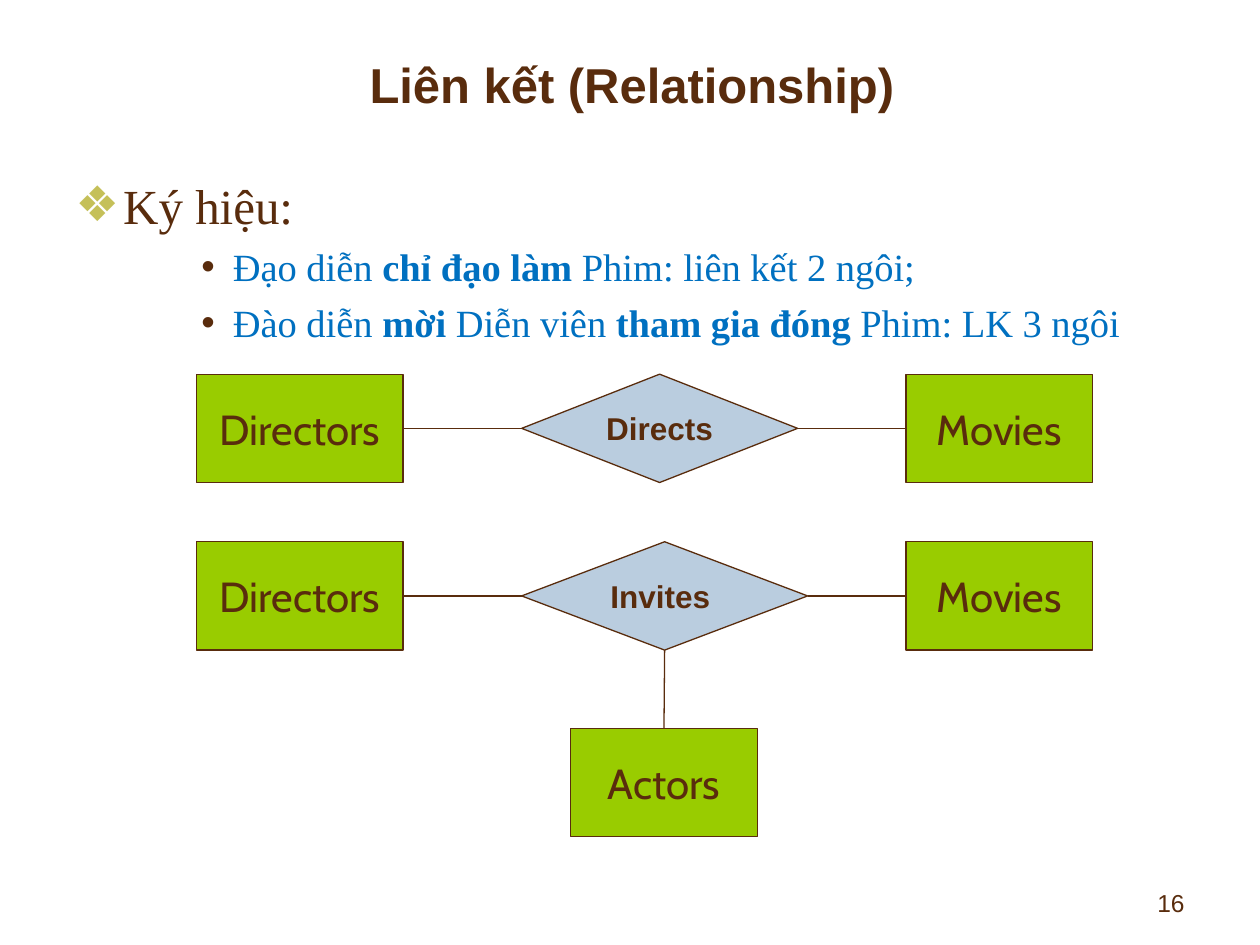
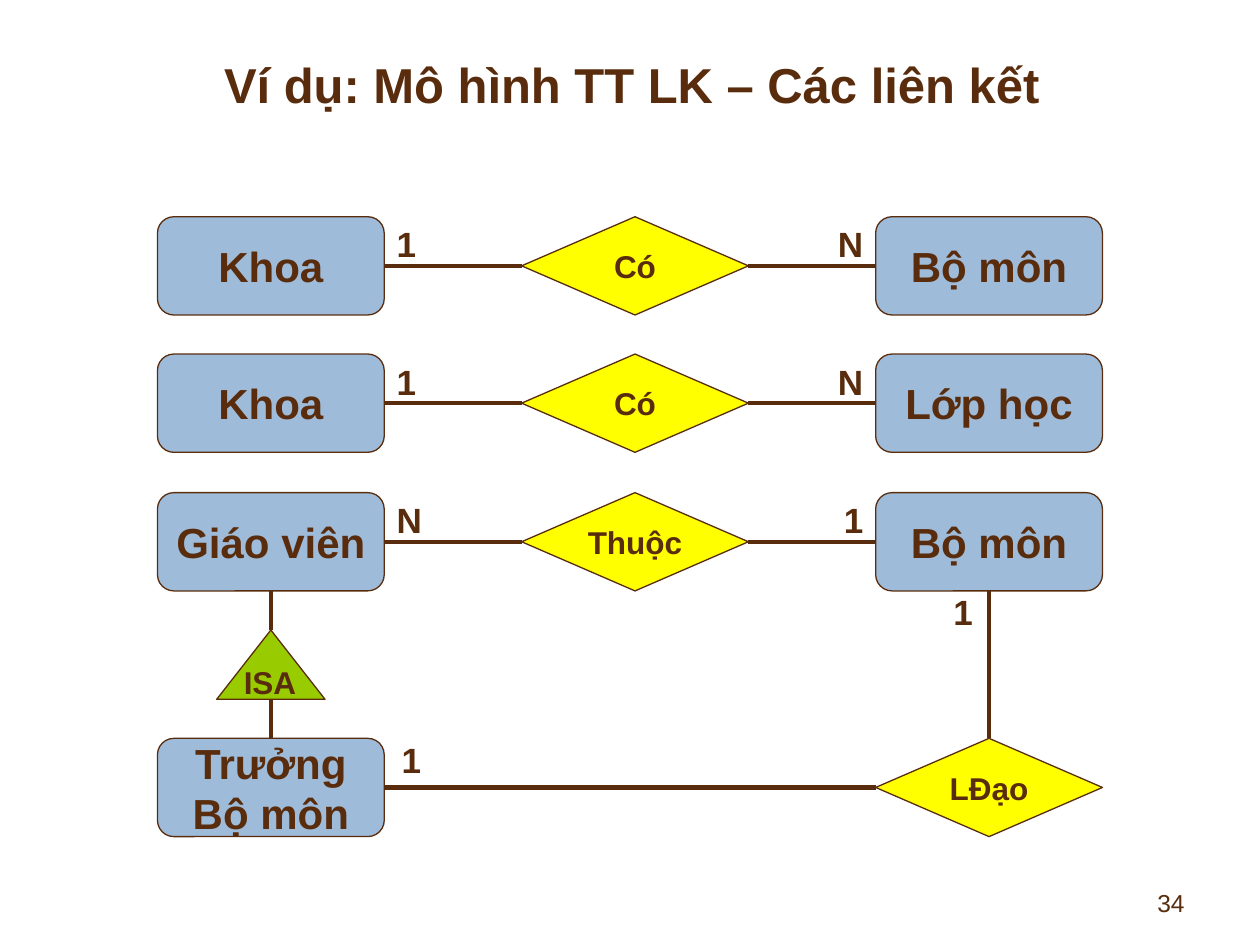
"""Builds two slides of entity-relationship diagrams with python-pptx."""
from lxml import etree
from pptx import Presentation
from pptx.dml.color import RGBColor
from pptx.enum.shapes import MSO_CONNECTOR, MSO_SHAPE
from pptx.enum.text import MSO_ANCHOR, PP_ALIGN
from pptx.oxml.ns import qn
from pptx.util import Inches, Pt

LEFT, CENTER, RIGHT = PP_ALIGN.LEFT, PP_ALIGN.CENTER, PP_ALIGN.RIGHT
TOP, MIDDLE = MSO_ANCHOR.TOP, MSO_ANCHOR.MIDDLE
RECT, ROUNDED = MSO_SHAPE.RECTANGLE, MSO_SHAPE.ROUNDED_RECTANGLE
DIAMOND, TRIANGLE = MSO_SHAPE.FLOWCHART_DECISION, MSO_SHAPE.ISOSCELES_TRIANGLE
STRAIGHT = MSO_CONNECTOR.STRAIGHT
ABOVE, BEFORE, BELOW, AFTER = range(4)
BROWN, BLUE, OLIVE = "592C0D", "0070C0", "C5C059"
GREEN, PALE_BLUE, SKY, YELLOW = "99CC00", "BACDDF", "9EBCDA", "FFFF00"
rgb = RGBColor.from_string


def write(slide, box, text, size, shape=None, fill=None, font="Arial", color=BROWN,
          bold=False, align=CENTER, anchor=MIDDLE, inset=True):
    """Adds text in a box or shape; one paragraph a line, ** toggles bold."""
    place = [Inches(length) for length in box]
    if shape is None:
        holder = slide.shapes.add_textbox(*place)
    else:
        holder = slide.shapes.add_shape(shape, *place)
        holder.shadow.inherit = False
        holder.fill.solid()
        holder.fill.fore_color.rgb = rgb(fill)
        holder.line.color.rgb = rgb(BROWN)
        holder.line.width = Pt(0.75)
    frame = holder.text_frame
    frame.word_wrap = True
    frame.vertical_anchor = anchor
    frame.margin_left = frame.margin_right = Inches(0.1 if inset else 0)
    frame.margin_top = frame.margin_bottom = Inches(0.05 if inset else 0)
    for number, line in enumerate(text.split("\n")):
        paragraph = frame.add_paragraph() if number else frame.paragraphs[0]
        paragraph.alignment = align
        for part, words in enumerate(line.split("**")):
            run = paragraph.add_run()
            run.text = words
            run.font.name = font
            run.font.size = Pt(size)
            run.font.bold = bold or part % 2 == 1
            run.font.color.rgb = rgb(color)
    return holder


def connect(slide, start, start_side, end, end_side, weight):
    """Joins two shapes; without an end side the line stops at the end's base."""
    link = slide.shapes.add_connector(
        STRAIGHT, 0, 0, end.left + end.width // 2, end.top + end.height)
    link.begin_connect(start, start_side)
    if end_side is not None:
        link.end_connect(end, end_side)
    link.line.color.rgb = rgb(BROWN)
    link.line.width = Pt(weight)
    etree.SubElement(link._element.spPr, qn("a:effectLst"))


prs = Presentation()
prs.slide_width, prs.slide_height = Inches(10), Inches(7.5)

slides = []
for title, page in (("Liên kết (Relationship)", "16"),
                    ("Ví dụ: Mô hình TT LK – Các liên kết", "34")):
    slide = prs.slides.add_slide(prs.slide_layouts[6])
    write(slide, (0.5, 0.25, 9.03, 0.84), title, 28, bold=True)
    write(slide, (7.17, 7, 2.33, 0.35), page, 14, align=RIGHT, anchor=TOP)
    slides.append(slide)
notation, example = slides

symbols = write(
    notation, (0.5, 1.34, 9.03, 5.57),
    "Ký hiệu:\n"
    "Đạo diễn **chỉ đạo làm **Phim: liên kết 2 ngôi;\n"
    "Đào diễn **mời **Diễn viên **tham gia đóng **Phim: LK 3 ngôi",
    22, font="Times New Roman", color=BLUE, align=LEFT, anchor=TOP)
heading, *cases = symbols.text_frame.paragraphs
heading.runs[0].font.size = Pt(28)
heading.runs[0].font.color.rgb = rgb(BROWN)
for case in cases:
    case.level = 2
    case.space_before = Pt(5.5)
for paragraph, mark, mark_color, margin, hanging in (
        (heading, "❖", OLIVE, 0.38, 0.38),
        *((case, "•", BROWN, 1.25, 0.25) for case in cases)):
    properties = paragraph._p.get_or_add_pPr()
    properties.set("marL", str(Inches(margin)))
    properties.set("indent", str(-Inches(hanging)))
    bullet_color = etree.SubElement(properties, qn("a:buClr"))
    etree.SubElement(bullet_color, qn("a:srgbClr"), val=mark_color)
    etree.SubElement(properties, qn("a:buFont"), typeface="Arial")
    etree.SubElement(properties, qn("a:buChar"), char=mark)

entity = {"size": 24, "shape": RECT, "fill": GREEN, "font": "Cabin"}
for top, verb, verb_width in ((2.97, "Directs", 2.19), (4.3, "Invites ", 2.27)):
    directors = write(notation, (1.56, top, 1.64, 0.86), "Directors", **entity)
    movies = write(notation, (7.19, top, 1.48, 0.86), "Movies", **entity)
    action = write(notation, (4.14, top, verb_width, 0.86), verb, 18,
                   shape=DIAMOND, fill=PALE_BLUE, bold=True)
    connect(notation, directors, AFTER, action, BEFORE, 0.75)
    connect(notation, action, AFTER, movies, BEFORE, 0.75)
actors = write(notation, (4.53, 5.78, 1.48, 0.86), "Actors", **entity)
connect(notation, action, BELOW, actors, ABOVE, 0.75)

entity = {"size": 24, "shape": ROUNDED, "fill": SKY, "bold": True}
relation = {"size": 18, "shape": DIAMOND, "fill": YELLOW, "bold": True, "inset": False}
count = {"size": 20, "bold": True, "anchor": TOP}
WIDTH, HEIGHT = 1.8, 0.78
for top, owner, owner_count, verb, member_count, member in (
        (1.72, "Khoa", "1", "Có", "N", "Bộ môn"),
        (2.81, "Khoa", "1", "Có", "N", "Lớp học"),
        (3.91, "Giáo viên", "N", "Thuộc", "1", "Bộ môn")):
    owning = write(example, (1.25, top, WIDTH, HEIGHT), owner, **entity)
    owned = write(example, (6.95, top, WIDTH, HEIGHT), member, **entity)
    relating = write(example, (4.14, top, WIDTH, HEIGHT), verb, **relation)
    connect(example, owning, AFTER, relating, BEFORE, 2.5)
    connect(example, relating, AFTER, owned, BEFORE, 2.5)
    write(example, (3.05, top, 0.78, 0.44), owner_count, align=LEFT, **count)
    write(example, (6.17, top, 0.78, 0.44), member_count, align=RIGHT, **count)

head = write(example, (1.25, 5.86, WIDTH, HEIGHT), "Trưởng Bộ môn", inset=False, **entity)
leads = write(example, (6.95, 5.86, WIDTH, HEIGHT), "LĐạo", **relation)
isa = write(example, (1.72, 5, 0.86, 0.55), "ISA", 18, shape=TRIANGLE, fill=GREEN,
            bold=True, align=LEFT, inset=False)
connect(example, owning, BELOW, isa, ABOVE, 2.5)
connect(example, head, ABOVE, isa, None, 2.5)
connect(example, head, AFTER, leads, BEFORE, 2.5)
connect(example, leads, ABOVE, owned, BELOW, 2.5)
for left, top in ((2.89, 5.81), (7.27, 4.64)):
    write(example, (left, top, 0.55, 0.44), "1", align=RIGHT, **count)

prs.save("out.pptx")
